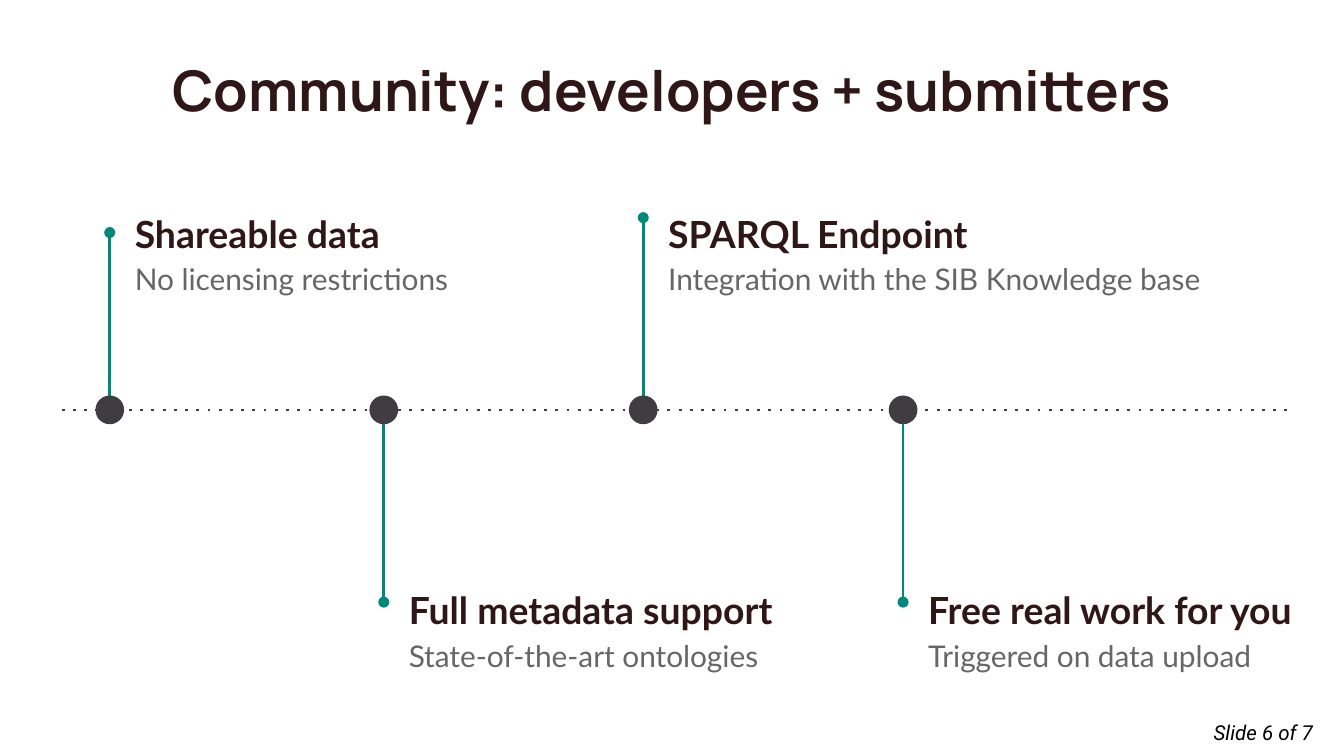
from typing import NamedTuple

from lxml import etree
from pptx import Presentation
from pptx.dml.color import RGBColor
from pptx.enum.shapes import MSO_CONNECTOR, MSO_SHAPE
from pptx.enum.text import MSO_ANCHOR, PP_ALIGN
from pptx.oxml.ns import qn
from pptx.util import Pt

STRAIGHT = MSO_CONNECTOR.STRAIGHT
OVAL = MSO_SHAPE.OVAL
TOP, MIDDLE = MSO_ANCHOR.TOP, MSO_ANCHOR.MIDDLE
CENTER = PP_ALIGN.CENTER

COLORS = {
    "heading": "301717",
    "detail": "666666",
    "axis": "3F3D42",
    "stem": "00887B",
    "footer": "000000",
}
AXIS_Y = 219.6
DOT_SIZE = 15.4
TEXT_GAP = 6.3
INSET = 7.2


class Milestone(NamedTuple):
    x: float
    stem_end: float
    text_top: float
    text_width: float
    heading: str
    detail: str


MILESTONES = [
    Milestone(58.8, 124.6, 102.2, 209.5, "Shareable data", "No licensing restrictions"),
    Milestone(205.6, 322.6, 303.8, 229, "Full metadata support",
              "State-of-the-art ontologies"),
    Milestone(344.6, 116.6, 102.2, 300.2, "SPARQL Endpoint",
              "Integration with the SIB Knowledge base"),
    Milestone(483.8, 322.6, 303.8, 220.3, "Free real work for you",
              "Triggered on data upload"),
]


def rgb(name: str) -> RGBColor:
    return RGBColor.from_string(COLORS[name])


def set_frame(sp, anchor=TOP):
    tf = sp.text_frame
    tf.word_wrap = True
    tf.vertical_anchor = anchor
    tf.margin_left = tf.margin_right = tf.margin_top = tf.margin_bottom = Pt(INSET)
    return tf


def set_paragraph(p, text: str, font: str, size: float, color: str,
                  bold: bool = False, italic: bool = False) -> None:
    p.text = text
    p.font.name = font
    p.font.size = Pt(size)
    p.font.bold = bold
    p.font.italic = italic
    p.font.color.rgb = rgb(color)


def add_line(shapes, x1: float, y1: float, x2: float, y2: float,
             color: str, tag: str, **attributes: str) -> None:
    """Draw a line; tag and attributes give its dash or its arrowhead."""
    s = shapes.add_connector(STRAIGHT, Pt(x1), Pt(y1), Pt(x2), Pt(y2))
    s.line.color.rgb = rgb(color)
    s.line.width = Pt(1.5)
    etree.SubElement(s.line._get_or_add_ln(), qn(tag), attributes)
    etree.SubElement(s._element.spPr, qn("a:effectLst"))


def add_milestone(shapes, m: Milestone) -> None:
    # Stem and dot
    group = shapes.add_group_shape().shapes
    radius = DOT_SIZE / 2
    start = AXIS_Y + (radius if m.stem_end > AXIS_Y else -radius)
    add_line(group, m.x, start, m.x, m.stem_end, "stem", "a:tailEnd", type="oval")
    dot = group.add_shape(OVAL, Pt(m.x - radius), Pt(AXIS_Y - radius),
                          Pt(DOT_SIZE), Pt(DOT_SIZE))
    dot.shadow.inherit = False
    dot.fill.solid()
    dot.fill.fore_color.rgb = rgb("axis")
    dot.line.fill.background()

    # Heading and detail
    sp = shapes.add_textbox(Pt(m.x + TEXT_GAP), Pt(m.text_top), Pt(m.text_width), Pt(76))
    tf = set_frame(sp)
    set_paragraph(tf.paragraphs[0], m.heading, "Lato", 20, "heading", bold=True)
    set_paragraph(tf.add_paragraph(), m.detail, "Lato", 16, "detail")
    for p in tf.paragraphs:
        p.line_spacing = 1.15


def main() -> None:
    prs = Presentation()
    prs.slide_width, prs.slide_height = Pt(720), Pt(405)
    slide = prs.slides.add_slide(prs.slide_layouts[5])
    shapes = slide.shapes

    # Title
    title = shapes.title
    title.left, title.top, title.width, title.height = Pt(24.5), Pt(23), Pt(671), Pt(49)
    p = set_frame(title, MIDDLE).paragraphs[0]
    set_paragraph(p, "Community: developers + submitters", "Manrope", 30, "heading", bold=True)
    p.alignment = CENTER

    # Timeline
    add_line(shapes, 33.1, AXIS_Y, 689.8, AXIS_Y, "axis", "a:prstDash", val="dot")
    for milestone in MILESTONES:
        add_milestone(shapes, milestone)

    # Slide count
    p = set_frame(shapes.add_textbox(Pt(630.7), Pt(376.6), Pt(92.2), Pt(28.8))).paragraphs[0]
    set_paragraph(p, "Slide 6 of 7", "Roboto", 11, "footer", italic=True)
    p.alignment = CENTER
    p.line_spacing = 1.15

    prs.save("out.pptx")


if __name__ == "__main__":
    main()
